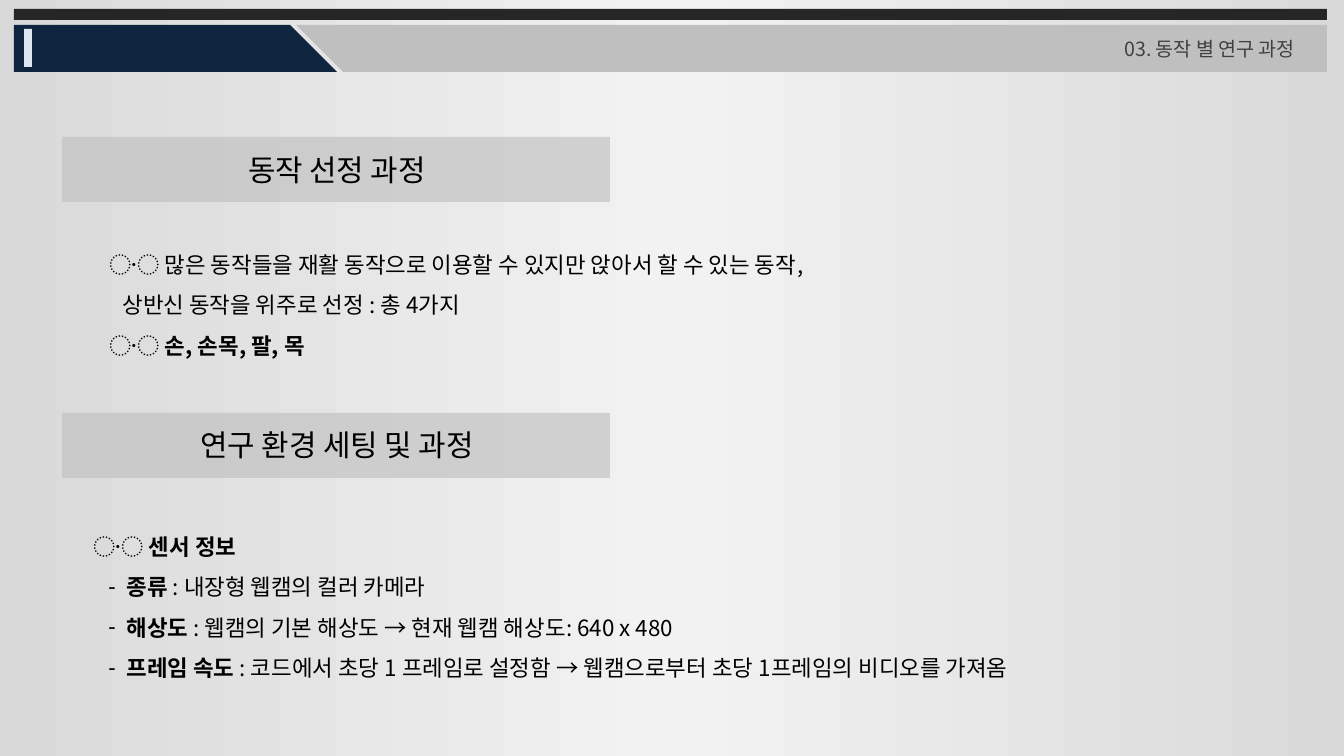
import copy

import lxml.etree
import pptx
import pptx.dml.color
import pptx.enum.shapes
import pptx.enum.text
import pptx.oxml.ns
import pptx.util

PX = 914400 / 134.4
FONT = "Noto Sans CJK KR"
RECTANGLE = pptx.enum.shapes.MSO_SHAPE.RECTANGLE
TRIANGLE = pptx.enum.shapes.MSO_SHAPE.RIGHT_TRIANGLE
ALIGN = pptx.enum.text.PP_ALIGN
qn = pptx.oxml.ns.qn


def color(value):
    return pptx.dml.color.RGBColor.from_string(value)


def format_paragraph(paragraph, size, text_color, alignment):
    """Set alignment, size, colour and font, with pair kerning off."""
    paragraph.alignment = alignment
    paragraph.font.size = pptx.util.Pt(size)
    paragraph.font.color.rgb = color(text_color)
    paragraph.font.name = FONT
    defaults = paragraph._p.pPr.find(qn("a:defRPr"))
    defaults.set("kern", "0")
    lxml.etree.SubElement(defaults, qn("a:ea"), typeface=FONT)


presentation = pptx.Presentation()
presentation.slide_width = round(1344 * PX)
presentation.slide_height = round(756 * PX)
slide = presentation.slides.add_slide(presentation.slide_layouts[3])  # Two Content

# Background: light in the middle, darker towards both sides
background = slide.background.fill
background.gradient()
background.gradient_angle = 0
stop_list = slide._element.find(".//" + qn("a:gsLst"))
stop_list.append(copy.deepcopy(stop_list[0]))
for stop, position, value in zip(
    background.gradient_stops, (0, 0.5, 1), ("D9D9D9", "F2F2F2", "D9D9D9")
):
    stop.position = position
    stop.color.rgb = color(value)

# Header band and heading panels: kind, box, colour, flipped, opacity in percent
shapes = [
    (RECTANGLE, (14, 9, 1313, 11), "262626", False, 100),
    (RECTANGLE, (14, 25, 276, 47), "0F243E", False, 100),
    (TRIANGLE, (290, 25, 47, 47), "0F243E", False, 100),
    (RECTANGLE, (343, 25, 984, 47), "BFBFBF", False, 100),
    (TRIANGLE, (296, 25, 47, 47), "BFBFBF", True, 100),
    (RECTANGLE, (24, 29, 8, 38), "DCE6F2", False, 100),
    (RECTANGLE, (62, 137, 548, 65), "BFBFBF", False, 64),
    (RECTANGLE, (62, 413, 548, 65), "BFBFBF", False, 64),
]
for kind, box, fill, flipped, opacity in shapes:
    shape = slide.shapes.add_shape(kind, *(round(value * PX) for value in box))
    shape.shadow.inherit = False
    shape.fill.solid()
    shape.fill.fore_color.rgb = color(fill)
    shape.line.fill.background()
    if flipped:
        shape._element.spPr.xfrm.set("flipH", "1")
        shape._element.spPr.xfrm.set("flipV", "1")
    if opacity < 100:
        rgb = shape._element.spPr.find(qn("a:solidFill"))[0]
        lxml.etree.SubElement(rgb, qn("a:alpha"), val=str(opacity * 1000))

# Section headings
for top, text in ((145, "동작 선정 과정"), (420, "연구 환경 세팅 및 과정")):
    heading = slide.shapes.add_textbox(
        *(round(value * PX) for value in (65, top, 544, 50))
    )
    heading.text_frame.word_wrap = True
    heading.text_frame.text = text
    format_paragraph(heading.text_frame.paragraphs[0], 16, "000000", ALIGN.CENTER)

# Title and lists; a line is: left margin, hanging dash, runs of (text, bold)
title, selection, setup = slide.placeholders
selection_lines = [
    (0, False, [("〮 많은 동작들을 재활 동작으로 이용할 수 있지만 앉아서 할 수 있는 동작,", False)]),
    (13, False, [("상반신 동작을 위주로 선정 : 총 4가지", False)]),
    (0, False, [("〮 ", False), ("손, 손목, 팔, 목", True)]),
]
setup_lines = [
    (0, False, [("〮 ", False), ("센서 정보", True)]),
    (33, True, [("종류 ", True), (": 내장형 웹캠의 컬러 카메라", False)]),
    (33, True, [("해상도 ", True),
                (": 웹캠의 기본 해상도 → 현재 웹캠 해상도: 640 x 480", False)]),
    (33, True, [("프레임 속도 ", True),
                (": 코드에서 초당 1 프레임로 설정함 → 웹캠으로부터 초당 1프레임의 비디오를 가져옴", False)]),
]
for placeholder, box in (
    (title, (1111, 30, 230, 38)),
    (selection, (96, 231, 1140, 130)),
    (setup, (80, 513, 1175, 212)),
):
    placeholder.left, placeholder.top, placeholder.width, placeholder.height = (
        round(value * PX) for value in box
    )
    placeholder.text_frame.auto_size = pptx.enum.text.MSO_AUTO_SIZE.NONE
    placeholder.text_frame.vertical_anchor = pptx.enum.text.MSO_ANCHOR.TOP
    slide.shapes._spTree.append(placeholder._element)  # in front of the band

title.text_frame.text = "03. 동작 별 연구 과정"
format_paragraph(title.text_frame.paragraphs[0], 10.5, "404040", ALIGN.LEFT)

for placeholder, lines in ((selection, selection_lines), (setup, setup_lines)):
    frame = placeholder.text_frame
    for index, (margin, dashed, runs) in enumerate(lines):
        paragraph = frame.add_paragraph() if index else frame.paragraphs[0]
        paragraph.line_spacing = 1.5
        paragraph.space_before = pptx.util.Pt(0)
        properties = paragraph._p.get_or_add_pPr()
        properties.set("marL", str(round(margin * PX)))
        properties.set("indent", str(round(-18 * PX) if dashed else 0))
        if dashed:
            lxml.etree.SubElement(properties, qn("a:buChar"), char="-")
        else:
            lxml.etree.SubElement(properties, qn("a:buNone"))
        format_paragraph(paragraph, 12, "000000", ALIGN.LEFT)
        for text, bold in runs:
            run = paragraph.add_run()
            run.text = text
            if bold:
                run.font.bold = True

presentation.save("out.pptx")
